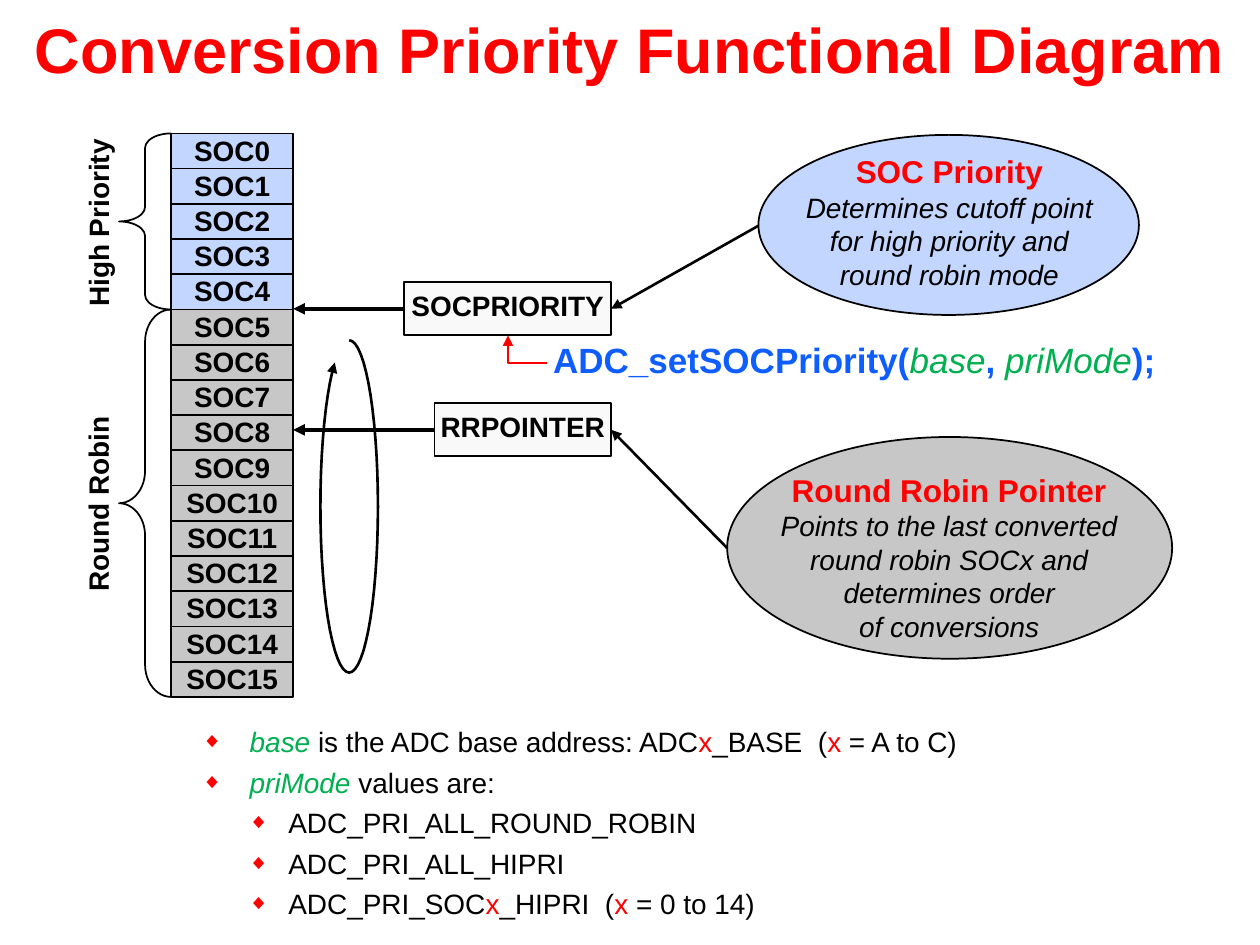
from dataclasses import dataclass
from math import cos, radians, sin
from typing import Optional

from lxml.etree import SubElement
from pptx import Presentation
from pptx.dml.color import RGBColor
from pptx.enum.shapes import MSO_CONNECTOR, MSO_SHAPE
from pptx.enum.text import MSO_ANCHOR, MSO_AUTO_SIZE, PP_ALIGN
from pptx.oxml.ns import qn
from pptx.util import Cm, Pt

BLACK = RGBColor(0, 0, 0)
RED = RGBColor(255, 0, 0)
GREEN = RGBColor(0x00, 0xB0, 0x50)
BLUE = RGBColor(0x0D, 0x5D, 0xFF)
LIGHT_BLUE = RGBColor(0xC2, 0xD6, 0xFF)
GRAY = RGBColor(0xC7, 0xC7, 0xC7)
OFF_WHITE = RGBColor(0xF9, 0xF9, 0xF9)


@dataclass(frozen=True)
class Box:
    x: float
    y: float
    w: float
    h: float

    def lengths(self) -> list:
        return [Cm(v) for v in (self.x, self.y, self.w, self.h)]


@dataclass(frozen=True)
class Run:
    text: str
    color: RGBColor = BLACK
    size: float = 16
    bold: bool = False
    italic: bool = False


@dataclass(frozen=True)
class Bullet:
    level: int
    runs: list


@dataclass(frozen=True)
class Group:
    label: str
    first: int
    last: int
    fill: RGBColor
    bend: float
    label_box: Box


@dataclass(frozen=True)
class Callout:
    oval: Box
    text: Box
    fill: RGBColor
    heading: str
    lines: list


@dataclass(frozen=True)
class Register:
    name: str
    box: Box
    oval_tip: tuple


def label(text: str) -> Run:
    return Run(text, bold=True)


COLUMN = Box(3.45, 2.69, 2.46, 0.71)
COLUMN_RIGHT = COLUMN.x + COLUMN.w
GROUPS = [
    Group("High Priority", 0, 4, LIGHT_BLUE, 0.28, Box(0.08, 4.06, 3.94, 0.81)),
    Group("Round Robin", 5, 15, GRAY, 0.62, Box(0, 9.73, 4.09, 0.81)),
]
CALLOUTS = [
    Callout(Box(15.29, 2.72, 7.67, 3.63), Box(15.95, 2.95, 6.38, 3.07), LIGHT_BLUE, "SOC Priority",
            ["Determines cutoff point", "for high priority and", "round robin mode"]),
    Callout(Box(14.66, 8.81, 8.97, 4.47), Box(15.44, 9.37, 7.39, 3.76), GRAY, "Round Robin Pointer",
            ["Points to the last converted", "round robin SOCx and", "determines order", "of conversions"]),
]
REGISTERS = [
    Register("SOCPRIORITY", Box(8.15, 5.69, 4.17, 1.07), (15.29, 4.55)),
    Register("RRPOINTER", Box(8.76, 8.13, 3.56, 1.07), (14.66, 11.05)),
]
CALL = [
    Run("ADC_setSOCPriority(", BLUE, 20, bold=True),
    Run("base", GREEN, 20, italic=True),
    Run(", ", BLUE, 20, bold=True),
    Run("priMode", GREEN, 20, italic=True),
    Run(");", BLUE, 20, bold=True),
]
X = Run("x", RED)
BULLETS = [
    Bullet(1, [Run("base", GREEN, italic=True), Run(" is the ADC base address: ADC"), X,
               Run("_BASE  ("), X, Run(" = A to C)")]),
    Bullet(1, [Run("priMode", GREEN, italic=True), Run(" values are:")]),
    Bullet(2, [Run("ADC_PRI_ALL_ROUND_ROBIN")]),
    Bullet(2, [Run("ADC_PRI_ALL_HIPRI")]),
    Bullet(2, [Run("ADC_PRI_SOC"), X, Run("_HIPRI  ("), X, Run(" = 0 to 14)")]),
]
INDENTS = {1: (0.97, -0.97), 2: (1.75, -0.81)}


def apply(target, values: dict) -> None:
    for name, value in values.items():
        setattr(target, name, value)


def place(sp, box: Box) -> None:
    apply(sp, dict(zip(("left", "top", "width", "height"), box.lengths())))


def add_runs(p, runs: list) -> None:
    for run in runs:
        r = p.add_run()
        r.text = run.text
        apply(r.font, {"name": "Arial", "size": Pt(run.size), "bold": run.bold, "italic": run.italic})
        r.font.color.rgb = run.color


def write(sp, lines: list, align=PP_ALIGN.CENTER, spacing: float = 1.0, **frame) -> None:
    tf = sp.text_frame
    apply(tf, {"word_wrap": False, "auto_size": MSO_AUTO_SIZE.NONE, **frame})
    for i, runs in enumerate(lines):
        p = tf.add_paragraph() if i else tf.paragraphs[0]
        apply(p, {"alignment": align, "line_spacing": spacing})
        add_runs(p, runs)


def add_figure(s, kind, box: Box, fill: Optional[RGBColor] = None):
    sp = s.shapes.add_shape(kind, *box.lengths())
    sp.shadow.inherit = False
    if fill is None:
        sp.fill.background()
    else:
        sp.fill.solid()
        sp.fill.fore_color.rgb = fill
    sp.line.color.rgb = BLACK
    sp.line.width = Pt(1)
    return sp


def add_label_box(s, box: Box, fill: RGBColor, text: str, top: float = 0) -> None:
    sp = add_figure(s, MSO_SHAPE.RECTANGLE, box, fill)
    write(sp, [[label(text)]], spacing=0.8, vertical_anchor=MSO_ANCHOR.MIDDLE,
          margin_left=0, margin_right=0, margin_top=Cm(top), margin_bottom=0)


def style_arrow(sp, color: RGBColor, width: float) -> None:
    sp.line.color.rgb = color
    sp.line.width = Pt(width)
    SubElement(sp.line._get_or_add_ln(), qn("a:tailEnd"), type="triangle")


def add_arrow(s, start: tuple, end: tuple, width: float, color: RGBColor = BLACK,
              kind=MSO_CONNECTOR.STRAIGHT):
    c = s.shapes.add_connector(kind, *[Cm(v) for v in start + end])
    style_arrow(c, color, width)
    SubElement(c._element.spPr, qn("a:effectLst"))
    return c


def add_group(s, group: Group) -> None:
    for n in range(group.first, group.last + 1):
        cell = Box(COLUMN.x, COLUMN.y + n * COLUMN.h, COLUMN.w, COLUMN.h)
        add_label_box(s, cell, group.fill, f"SOC{n}", 0.08)
    rows = group.last - group.first + 1
    top = COLUMN.y + group.first * COLUMN.h
    brace = add_figure(s, MSO_SHAPE.LEFT_BRACE, Box(2.4, top, 1.05, rows * COLUMN.h))
    brace.adjustments[0] = group.bend
    tb = s.shapes.add_textbox(*group.label_box.lengths())
    tb.rotation = 270
    write(tb, [[label(group.label)]], PP_ALIGN.LEFT, 0.8)


def add_callout(s, callout: Callout) -> None:
    add_figure(s, MSO_SHAPE.OVAL, callout.oval, callout.fill)
    tb = s.shapes.add_textbox(*callout.text.lengths())
    write(tb, [[Run(callout.heading, RED, 18, bold=True)],
               *[[Run(line, italic=True)] for line in callout.lines]])


def add_register(s, register: Register) -> None:
    box = register.box
    middle = box.y + box.h / 2
    add_arrow(s, (box.x, middle), (COLUMN_RIGHT, middle), 2.25)
    add_label_box(s, box, OFF_WHITE, register.name)
    add_arrow(s, register.oval_tip, (box.x + box.w, middle), 1.5)


def add_loop(s, cx: float, cy: float, rx: float, ry: float) -> None:
    points = [(Cm(cx + rx * cos(radians(a))), Cm(cy + ry * sin(radians(a))))
              for a in range(-90, 241, 6)]
    fb = s.shapes.build_freeform(*points[0])
    fb.add_line_segments(points[1:], close=False)
    sp = fb.convert_to_shape()
    sp.shadow.inherit = False
    sp.fill.background()
    style_arrow(sp, BLACK, 1.5)


def add_bullets(body) -> None:
    tf = body.text_frame
    apply(tf, {"word_wrap": True, "auto_size": MSO_AUTO_SIZE.NONE, "vertical_anchor": MSO_ANCHOR.TOP})
    for i, bullet in enumerate(BULLETS):
        p = tf.add_paragraph() if i else tf.paragraphs[0]
        apply(p, {"level": bullet.level, "space_before": Pt(4 if i else 0)})
        pPr = p._p.get_or_add_pPr()
        for name, value in zip(("marL", "indent"), INDENTS[bullet.level]):
            pPr.set(name, str(Cm(value)))
        SubElement(SubElement(pPr, qn("a:buClr")), qn("a:srgbClr"), val=str(RED))
        SubElement(pPr, qn("a:buSzPct"), val="75000")
        SubElement(pPr, qn("a:buChar"), char="◆")
        add_runs(p, bullet.runs)


def main() -> None:
    prs = Presentation()
    apply(prs, {"slide_width": Cm(25.4), "slide_height": Cm(19.05)})
    s = prs.slides.add_slide(prs.slide_layouts[1])
    title, body = s.placeholders
    place(title, Box(0, 0.03, 25.4, 1.7))
    write(title, [[Run("Conversion Priority Functional Diagram", RED, 36, bold=True)]],
          vertical_anchor=MSO_ANCHOR.BOTTOM, margin_top=0, margin_bottom=0)
    place(body, Box(3.81, 14.48, 16.46, 4.34))
    add_bullets(body)

    for callout in CALLOUTS:
        add_callout(s, callout)
    for group in GROUPS:
        add_group(s, group)
    add_loop(s, 7.04, 10.21, 0.58, 3.35)
    for register in REGISTERS:
        add_register(s, register)

    tb = s.shapes.add_textbox(*Box(11.02, 6.86, 12.75, 0.94).lengths())
    write(tb, [CALL], PP_ALIGN.LEFT, 0.8, margin_left=Cm(0.13), margin_right=Cm(0.13))
    elbow = add_arrow(s, (10.24, 6.76), (11.02, 7.32), 1, RED, MSO_CONNECTOR.ELBOW)
    elbow._element.spPr.find(qn("a:prstGeom")).set("prst", "bentConnector2")
    elbow._element.spPr.find(qn("a:xfrm")).set("rot", "10800000")
    prs.save("out.pptx")


if __name__ == "__main__":
    main()
